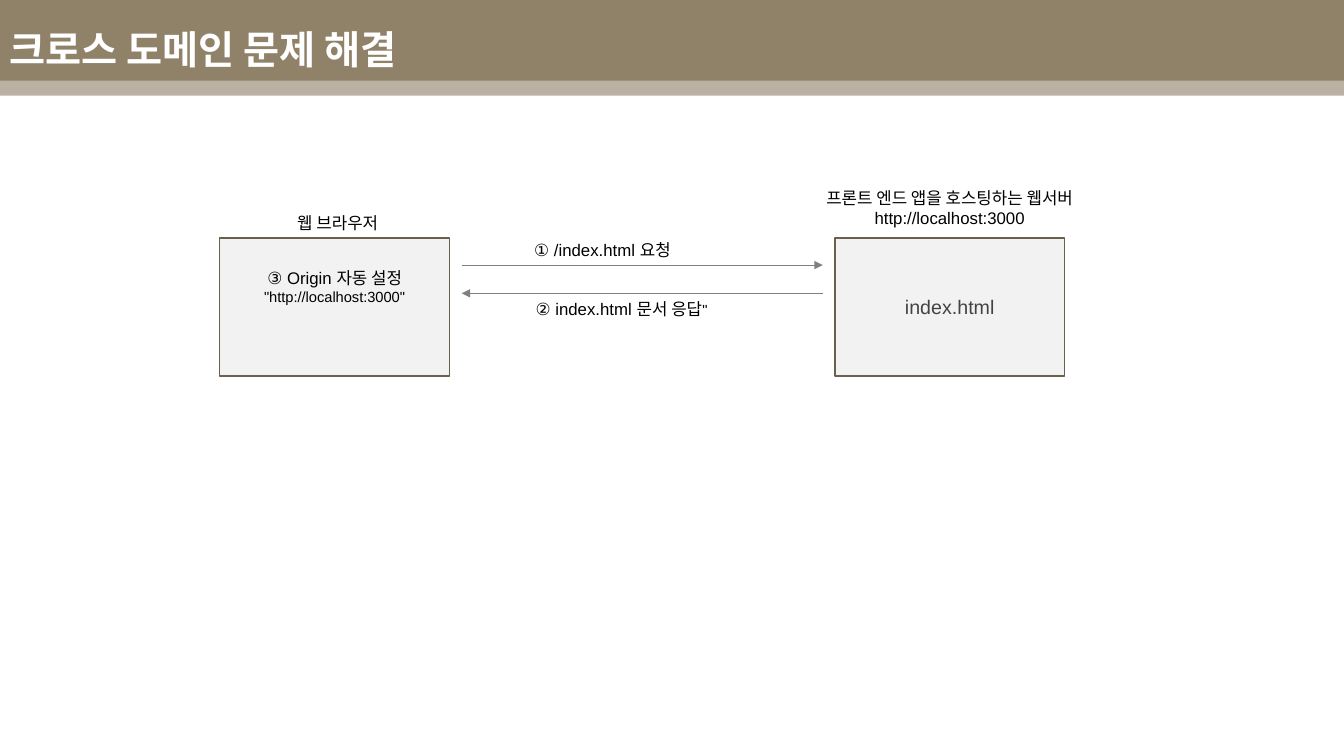
from pptx import Presentation
from pptx.dml.color import RGBColor
from pptx.enum import shapes, text
from pptx.oxml import ns
from pptx.util import Inches, Pt
from lxml import etree

COLORS = {
    "band": "908269", "white": "FFFFFF", "black": "000000",
    "panel": "F2F2F2", "border": "6B604E", "panel_text": "434343",
    "arrow": "808080",
}
LATIN, KOREAN = "Arial", "Noto Sans CJK KR"
PANEL_WIDTH, PANEL_HEIGHT = 2.28, 1.37


def color(name):
    return RGBColor.from_string(COLORS[name])


def add_tag(parent, tag, **attributes):
    return etree.SubElement(parent, ns.qn(tag), attributes)


def style(para, size, ink="black", face=LATIN, bold=False, align=text.PP_ALIGN.CENTER):
    para.alignment = align
    font = para.font
    font.size, font.name, font.bold = Pt(size), face, bold
    font.color.rgb = color(ink)
    add_tag(para._p.pPr.find(ns.qn("a:defRPr")), "a:ea", typeface=KOREAN)


def add_rect(page, left, top, width, height, fill, border=None):
    box = page.shapes.add_shape(shapes.MSO_SHAPE.RECTANGLE, Inches(left),
                                Inches(top), Inches(width), Inches(height))
    box.shadow.inherit = False
    box.fill.solid()
    box.fill.fore_color.rgb = color(fill)
    if border:
        box.line.color.rgb = color(border)
        box.line.width = Pt(1)
    else:
        box.line.fill.background()
    return box


def add_label(page, left, top, width, height, lines):
    """Each line is a (wording, size) pair."""
    box = page.shapes.add_textbox(Inches(left), Inches(top), Inches(width), Inches(height))
    frame = box.text_frame
    frame.word_wrap = False
    frame.auto_size = text.MSO_AUTO_SIZE.SHAPE_TO_FIT_TEXT
    for index, (wording, size) in enumerate(lines):
        para = frame.add_paragraph() if index else frame.paragraphs[0]
        para.add_run().text = wording
        style(para, size)
    return frame


def add_arrow(page, start, end, top):
    arrow = page.shapes.add_connector(shapes.MSO_CONNECTOR.STRAIGHT, Inches(start),
                                      Inches(top), Inches(end), Inches(top))
    arrow.line.color.rgb = color("arrow")
    arrow.line.width = Pt(0.75)
    add_tag(arrow.line._get_or_add_ln(), "a:tailEnd", type="triangle")
    add_tag(arrow._element.spPr, "a:effectLst")


def build_header(page, width):
    # Solid bar with a translucent strip along its lower edge
    add_rect(page, 0, 0, width, 0.8, "band")
    strip = add_rect(page, 0, 0.65, width, 0.3, "band")
    tint = strip._element.spPr.find(".//" + ns.qn("a:srgbClr"))
    add_tag(tint, "a:alpha", val="62000")

    # Title
    box = page.shapes.add_textbox(0, Inches(0.15), Inches(12), Inches(0.65))
    frame = box.text_frame
    frame.word_wrap = True
    frame.margin_top = frame.margin_bottom = Inches(0.1)
    para = frame.paragraphs[0]
    para.add_run().text = "크로스 도메인 문제 해결"
    style(para, 28, "white", KOREAN, True, text.PP_ALIGN.LEFT)


def build_browser(page, left, top):
    add_rect(page, left, top, PANEL_WIDTH, PANEL_HEIGHT, "panel", "border")
    add_label(page, left + 0.62, top - 0.3, 1.1, 0.3, [("웹 브라우저", 12)])
    add_label(page, left + 0.29, top + 0.25, 1.7, 0.48,
              [("③ Origin 자동 설정", 12), ('"http://localhost:3000"', 10.5)])


def build_server(page, left, top):
    panel = add_rect(page, left, top, PANEL_WIDTH, PANEL_HEIGHT, "panel", "border")
    panel.text_frame.vertical_anchor = text.MSO_ANCHOR.MIDDLE
    para = panel.text_frame.paragraphs[0]
    para.add_run().text = "index.html"
    style(para, 14, "panel_text")
    add_label(page, left - 0.37, top - 0.55, 3.02, 0.5,
              [("프론트 엔드 앱을 호스팅하는 웹서버", 12), ("http://localhost:3000", 12)])


def build_messages(page, left, right, top):
    # Request above, response below
    add_arrow(page, left, right, top + 0.27)
    add_arrow(page, right, left, top + 0.55)
    add_label(page, left + 0.55, top - 0.03, 1.69, 0.3, [("① /index.html 요청", 12)])
    response = add_label(page, left + 0.55, top + 0.55, 2.07, 0.3,
                         [("② index.html 문서 응답", 12)])
    quote = response.paragraphs[0].add_run()
    quote.text = '"'
    quote.font.size = Pt(10.5)


def main():
    deck = Presentation()
    deck.slide_width, deck.slide_height = Inches(13.33), Inches(7.5)
    page = deck.slides.add_slide(deck.slide_layouts[6])
    panel_top, browser_left, server_left, gap = 2.36, 2.18, 8.28, 0.12
    build_header(page, 13.33)
    build_browser(page, browser_left, panel_top)
    build_server(page, server_left, panel_top)
    build_messages(page, browser_left + PANEL_WIDTH + gap, server_left - gap, panel_top)
    deck.save("out.pptx")


if __name__ == "__main__":
    main()
